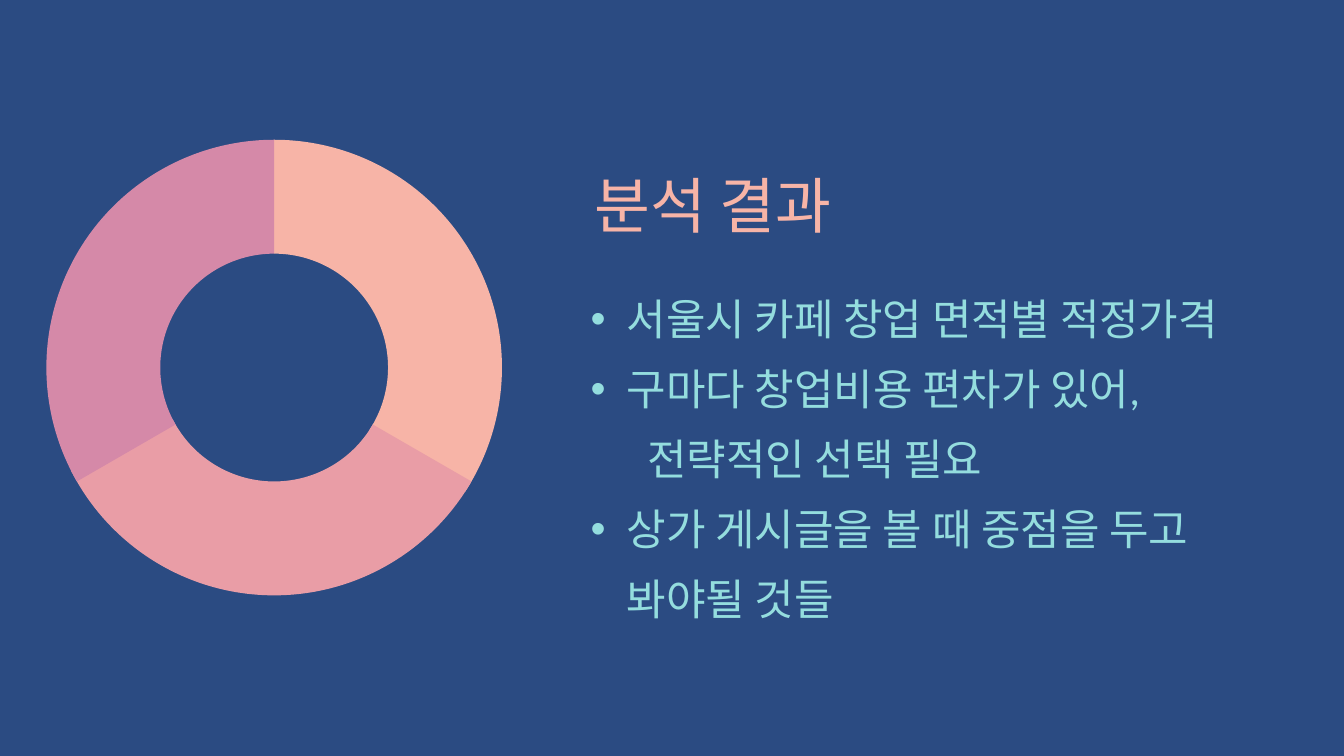
from math import cos, radians, sin, tan

from lxml.etree import SubElement
from pptx import Presentation
from pptx.dml.color import RGBColor
from pptx.enum.text import MSO_AUTO_SIZE
from pptx.oxml.ns import qn
from pptx.util import Inches, Pt

COLORS = {
    "background": "2B4B82",
    "title": "F7B4A7",
    "body": "94DDDE",
    "first": "F7B4A7",
    "second": "E99DA6",
    "third": "D589A8",
}
FONT = "Calibri"
RING_CENTER = (4.08, 5.47)
RING_RADIUS = 3.39
HOLE_RADIUS = RING_RADIUS / 2
# Start and end in degrees clockwise from the top; each overlaps the next
SEGMENTS = [("first", 0, 123), ("second", 120, 243), ("third", 240, 360)]

BULLET_INDENT = 0.54
TEXT_INDENT = 1.09
CONTINUATION_INDENT = 1.39
# Each paragraph: its text, left indent, whether it has a bullet
FINDINGS = [
    ("서울시 카페 창업 면적별 적정가격", TEXT_INDENT, True),
    ("구마다 창업비용 편차가 있어,", TEXT_INDENT, True),
    ("전략적인 선택 필요", CONTINUATION_INDENT, False),
    ("상가 게시글을 볼 때 중점을 두고 봐야될 것들", TEXT_INDENT, True),
]


def arc_points(radius, start, end):
    """Start point and Bezier points of an arc drawn as two curves."""
    step = radians(end - start) / 2
    handle = 4 / 3 * tan(step / 4)

    def point(angle, offset):
        x = RING_CENTER[0] + radius * (sin(angle) + offset * cos(angle))
        y = RING_CENTER[1] - radius * (cos(angle) - offset * sin(angle))
        return Inches(x), Inches(y)

    points = [point(radians(start), 0)]
    for index in range(2):
        angle = radians(start) + index * step
        points += [point(angle, handle), point(angle + step, -handle),
                   point(angle + step, 0)]
    return points


def join_into_curves(lines):
    """Turn each three line segments into one Bezier curve."""
    for first, second, third in zip(lines[::3], lines[1::3], lines[2::3]):
        first.tag = qn("a:cubicBezTo")
        for line in (second, third):
            first.append(line[0])
            line.getparent().remove(line)


def add_ring_segment(slide, start, end, color):
    outer = arc_points(RING_RADIUS, start, end)
    inner = arc_points(HOLE_RADIUS, end, start)
    builder = slide.shapes.build_freeform(*outer[0])
    builder.add_line_segments(outer[1:] + inner, close=True)
    shape = builder.convert_to_shape()
    lines = list(shape._element.iter(qn("a:lnTo")))
    join_into_curves(lines[:6])
    join_into_curves(lines[7:13])
    shape.shadow.inherit = False
    shape.fill.solid()
    shape.fill.fore_color.rgb = RGBColor.from_string(color)
    shape.line.fill.background()


def add_text_frame(slide, left, top, width, height):
    box = slide.shapes.add_textbox(
        Inches(left), Inches(top), Inches(width), Inches(height))
    frame = box.text_frame
    frame.margin_left = frame.margin_right = 0
    frame.margin_top = frame.margin_bottom = 0
    frame.word_wrap = True
    frame.auto_size = MSO_AUTO_SIZE.SHAPE_TO_FIT_TEXT
    return frame


def write_text(paragraph, text, size, spacing, color):
    paragraph.line_spacing = Pt(spacing)
    run = paragraph.add_run()
    run.text = text
    run.font.name = FONT
    run.font.size = Pt(size)
    run.font.color.rgb = RGBColor.from_string(color)


def set_indent(paragraph, left, bullet):
    properties = paragraph._p.get_or_add_pPr()
    properties.set("marL", str(Inches(left)))
    if bullet:
        properties.set("indent", str(-Inches(BULLET_INDENT)))
        SubElement(properties, qn("a:buFont"), typeface="Arial")
        SubElement(properties, qn("a:buChar"), char="•")


def add_findings(slide):
    frame = add_text_frame(slide, 8.24, 4.08, 10.63, 5.09)
    for index, (text, left, bullet) in enumerate(FINDINGS):
        paragraph = frame.add_paragraph() if index else frame.paragraphs[0]
        set_indent(paragraph, left, bullet)
        write_text(paragraph, text, 46, 75, COLORS["body"])


def add_title(slide):
    frame = add_text_frame(slide, 8.85, 2.49, 7.84, 1.08)
    write_text(frame.paragraphs[0], "분석 결과", 65, 78, COLORS["title"])


def main():
    presentation = Presentation()
    presentation.slide_width = Inches(20)
    presentation.slide_height = Inches(11.25)
    slide = presentation.slides.add_slide(presentation.slide_layouts[6])
    background = slide.background.fill
    background.solid()
    background.fore_color.rgb = RGBColor.from_string(COLORS["background"])
    add_findings(slide)
    add_title(slide)
    for name, start, end in SEGMENTS:
        add_ring_segment(slide, start, end, COLORS[name])
    presentation.save("out.pptx")


if __name__ == "__main__":
    main()
